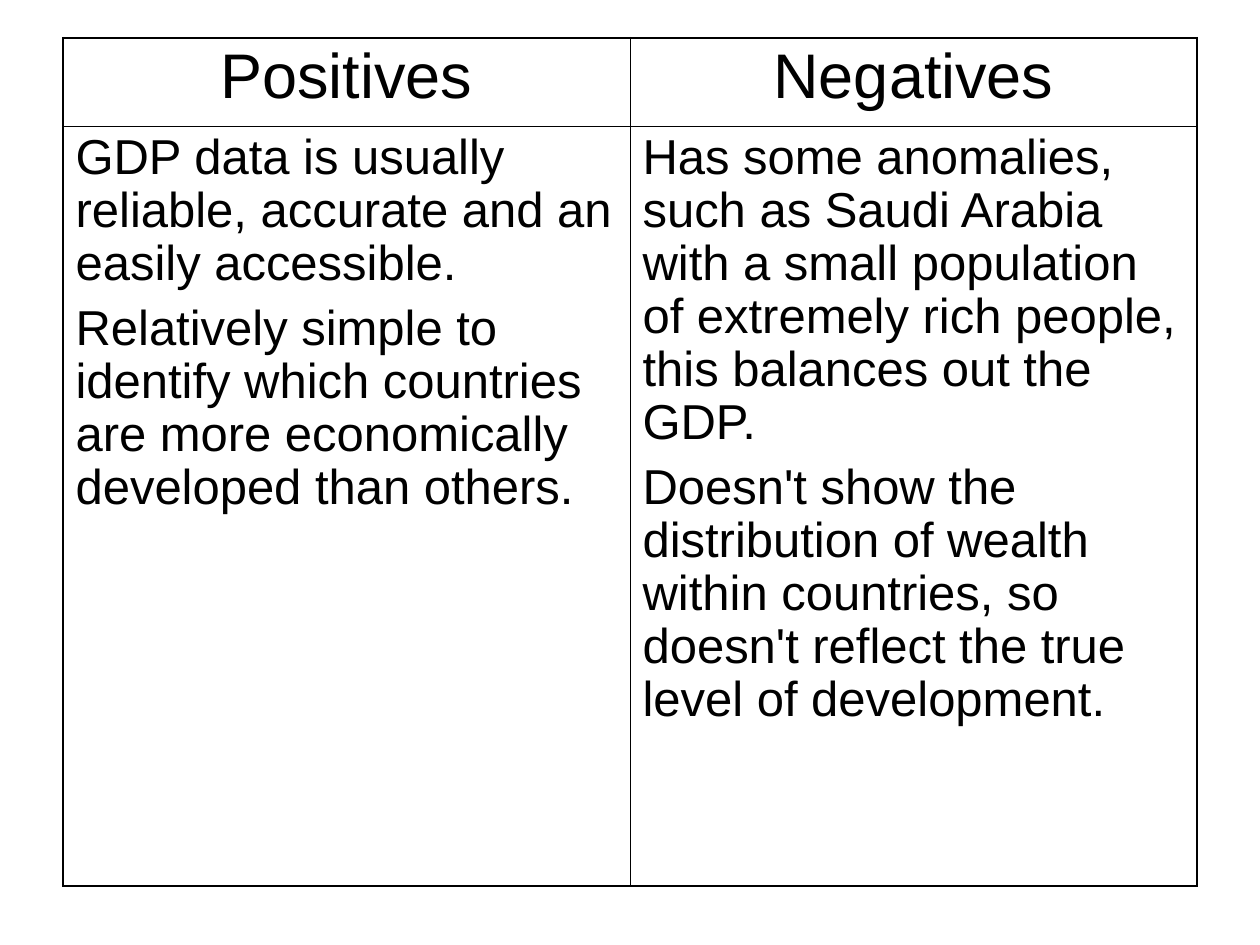
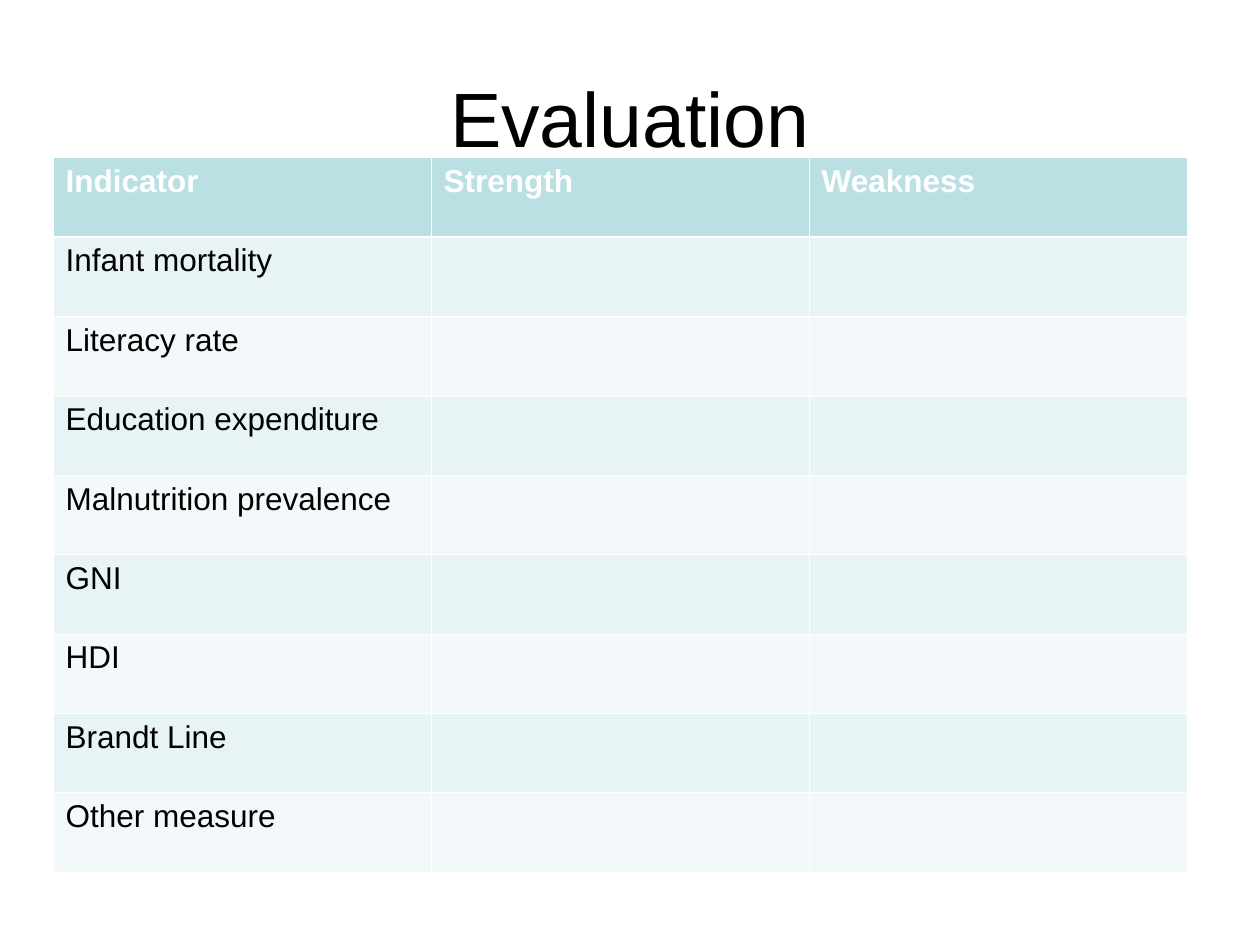
from lxml.etree import SubElement
from pptx import Presentation
from pptx.dml.color import RGBColor
from pptx.enum.text import MSO_ANCHOR, PP_ALIGN
from pptx.oxml.ns import qn
from pptx.util import Cm, Pt

COLORS = {
    "ink": "000000",
    "paper": "FFFFFF",
    "header": "BBE0E3",
    "odd": "E7F3F4",
    "even": "F3F9FA",
}
FONT = "Arial"
TITLE = {"size": 44, "color": "ink", "paragraph": {"alignment": PP_ALIGN.CENTER}}
COLUMN_HEAD = {"size": 36, "color": "ink",
               "paragraph": {"alignment": PP_ALIGN.CENTER, "space_before": Pt(9),
                             "line_spacing": 0.97}}
ARGUMENT = {"size": 28, "color": "ink",
            "paragraph": {"space_before": Pt(7), "line_spacing": 0.97}}
GRID_HEAD = {"size": 18, "color": "paper", "bold": True}
GRID_BODY = {"size": 18, "color": "ink"}

ARGUMENTS = [
    [["Positives"], ["Negatives"]],
    [
        ["GDP data is usually reliable, accurate and an easily accessible.",
         "Relatively simple to identify which countries are more economically "
         "developed than others."],
        ["Has some anomalies, such as Saudi Arabia with a small population of "
         "extremely rich people, this balances out the GDP.",
         "Doesn't show the distribution of wealth within countries, so doesn't "
         "reflect the true level of development."],
    ],
]
HEADINGS = ["Indicator", "Strength", "Weakness"]
INDICATORS = ["Infant mortality", "Literacy rate", "Education expenditure",
              "Malnutrition prevalence", "GNI", "HDI", "Brandt Line", "Other measure"]


def rgb(name):
    return RGBColor.from_string(COLORS[name])


class Deck:
    def __init__(self, width, height):
        self.prs = Presentation()
        self.prs.slide_width, self.prs.slide_height = width, height
        self.s = None

    def slide(self):
        self.s = self.prs.slides.add_slide(self.prs.slide_layouts[6])

    def text(self, tf, lines, style):
        font_format = {"name": FONT, "size": Pt(style["size"]),
                       "bold": style.get("bold", False)}
        for i, line in enumerate(lines):
            p = tf.add_paragraph() if i else tf.paragraphs[0]
            for key, value in style.get("paragraph", {}).items():
                setattr(p, key, value)
            r = p.add_run()
            r.text = line
            for key, value in font_format.items():
                setattr(r.font, key, value)
            r.font.color.rgb = rgb(style["color"])

    def title(self, text, left, top, width, height):
        sp = self.s.shapes.add_textbox(left, top, width, height)
        tf = sp.text_frame
        tf.word_wrap = True
        tf.vertical_anchor = MSO_ANCHOR.MIDDLE
        self.text(tf, [text], TITLE)

    def border(self, cell, color, widths):
        tcPr = cell._tc.get_or_add_tcPr()
        for side in "LRTB":
            ln = SubElement(tcPr, qn(f"a:ln{side}"), w=str(int(Pt(widths[side]))))
            fill = SubElement(ln, qn("a:solidFill"))
            SubElement(fill, qn("a:srgbClr"), val=COLORS[color])

    def table(self, rows, left, top, col_width, heights, styles, fills, line, widths):
        n_rows, n_cols = len(rows), len(rows[0])
        frame = self.s.shapes.add_table(n_rows, n_cols, left, top,
                                        col_width * n_cols, sum(heights))
        table = frame.table
        table.first_row = table.horz_banding = False
        for column in table.columns:
            column.width = col_width
        for i, row in enumerate(rows):
            table.rows[i].height = heights[i]
            for j, lines in enumerate(row):
                cell = table.cell(i, j)
                self.text(cell.text_frame, lines, styles[min(i, 1)])
                self.border(cell, line, widths(i, j))
                if fills:
                    cell.fill.solid()
                    cell.fill.fore_color.rgb = rgb(fills[i])
                else:
                    cell.fill.background()


def framed(i, j):
    outer, inner = 1.08, 0.45
    return {"L": inner if j else outer, "R": outer if j else inner,
            "T": inner if i else outer, "B": outer if i else inner}


def ruled(i, j):
    thin, thick = 0.45, 1.47
    return {"L": thin, "R": thin, "T": thick if i == 1 else thin,
            "B": thin if i else thick}


def main():
    deck = Deck(Cm(25.4), Cm(19.05))

    deck.slide()
    deck.table(ARGUMENTS, Cm(1.27), Cm(0.76), Cm(11.43), [Cm(1.78), Cm(15.32)],
               [COLUMN_HEAD, ARGUMENT], None, "ink", framed)

    deck.slide()
    deck.title("Evaluation", Cm(1.27), Cm(0.76), Cm(22.86), Cm(3.18))
    grid = [[[h] for h in HEADINGS]] + [[[name], [], []] for name in INDICATORS]
    bands = ["header"] + ["even" if i % 2 else "odd" for i in range(len(INDICATORS))]
    deck.table(grid, Cm(1.07), Cm(3.18), Cm(7.62), [Cm(1.6)] * len(grid),
               [GRID_HEAD, GRID_BODY], bands, "paper", ruled)

    deck.prs.save("out.pptx")


if __name__ == "__main__":
    main()
